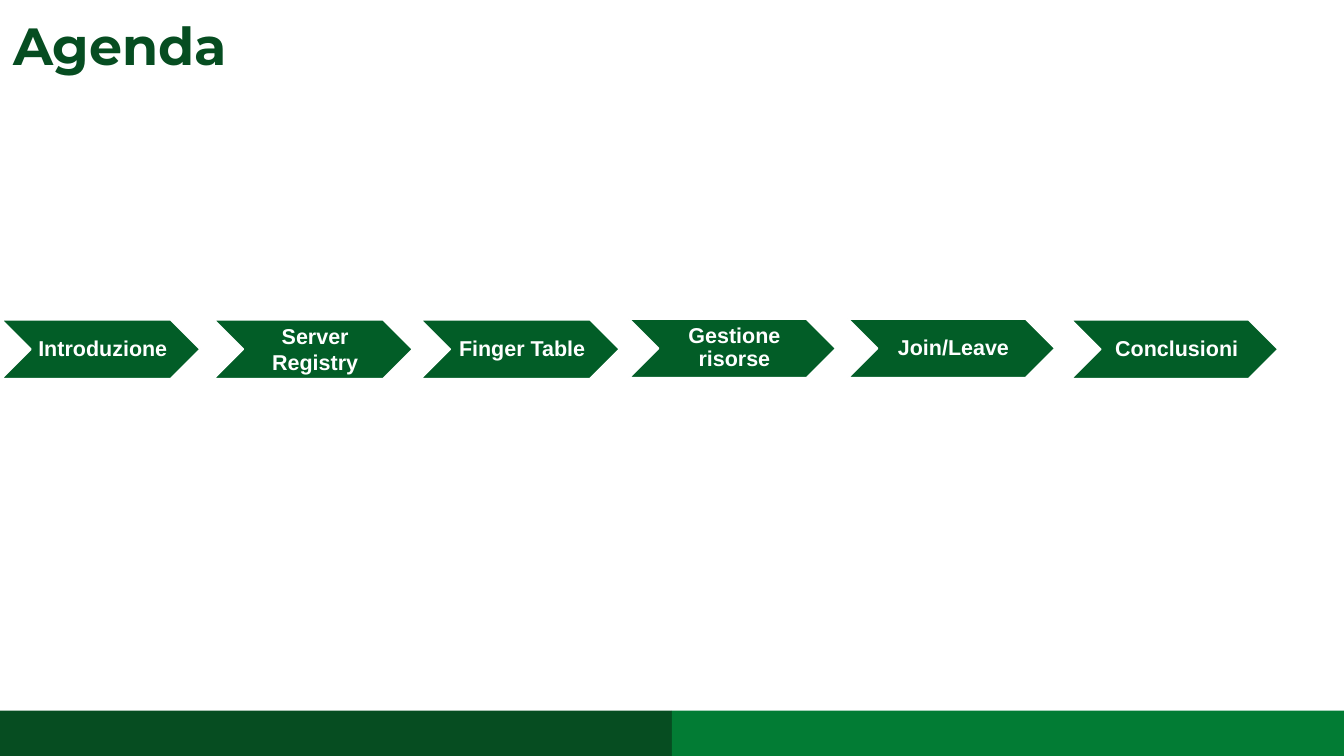
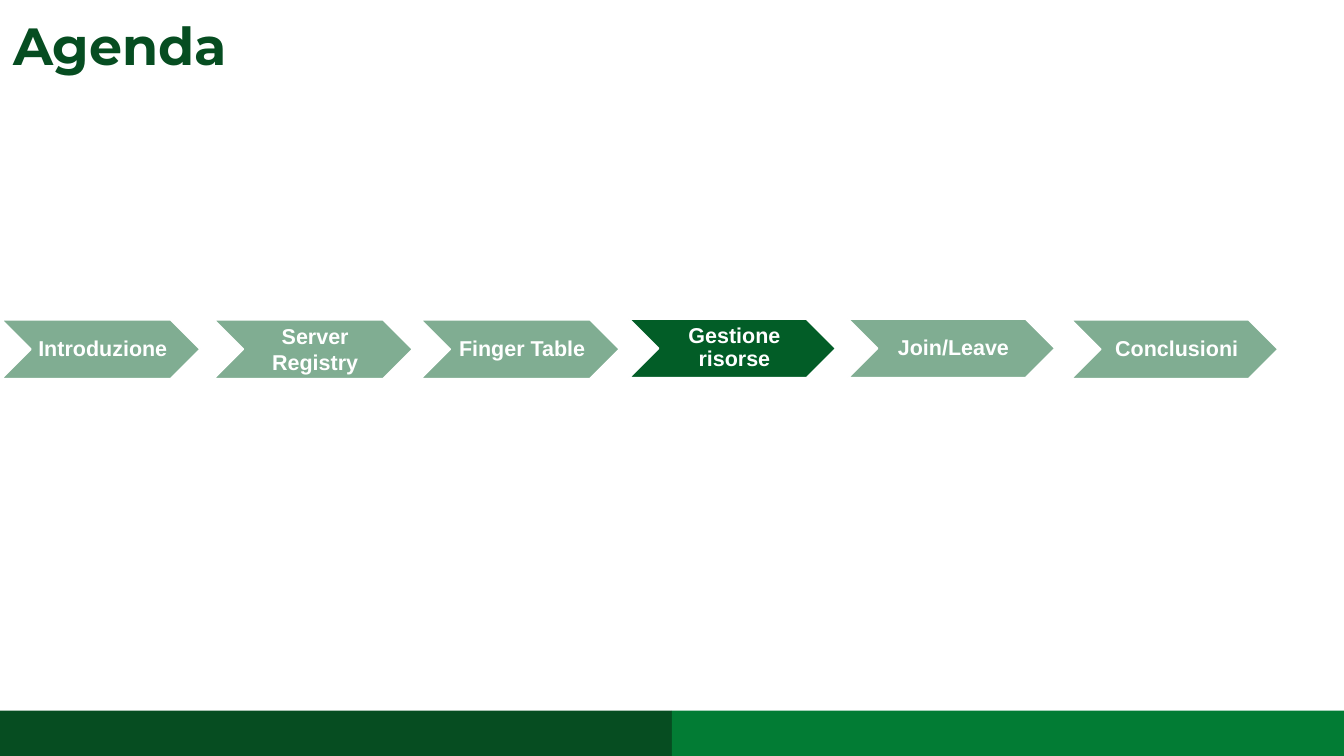
from dataclasses import dataclass
from typing import Any, Optional

from lxml.etree import SubElement
from pptx import Presentation
from pptx.dml.color import RGBColor
from pptx.enum.shapes import MSO_SHAPE
from pptx.enum.text import MSO_ANCHOR, PP_ALIGN
from pptx.oxml.ns import qn
from pptx.util import Emu, Inches, Pt

WIDTH, HEIGHT = Inches(10), Inches(5.625)
COL, ROW = WIDTH / 100, HEIGHT / 100

WHITE = RGBColor(0xFF, 0xFF, 0xFF)
DARK_GREEN = RGBColor(0x06, 0x4D, 0x21)
BRIGHT_GREEN = RGBColor(0x02, 0x7C, 0x34)
STEP_GREEN = RGBColor(0x02, 0x5D, 0x27)

TITLE_FONT = {"name": "Montserrat", "size": Pt(28), "bold": True}
STEP_FONT = {"name": "Arial", "size": Pt(11.5), "bold": True}
TITLE_FRAME = {"word_wrap": True} | {
    f"margin_{side}": Inches(0.1) for side in ("left", "top", "right", "bottom")
}
STEP_FRAME = {
    "word_wrap": True,
    "vertical_anchor": MSO_ANCHOR.MIDDLE,
    "margin_left": Inches(0.05),
    "margin_top": Inches(0.02),
    "margin_right": Inches(0.02),
    "margin_bottom": Inches(0.02),
}


@dataclass(frozen=True)
class Box:
    col: float
    row: float
    cols: float
    rows: float

    def emu(self) -> tuple[Emu, ...]:
        return (Emu(round(self.col * COL)), Emu(round(self.row * ROW)),
                Emu(round(self.cols * COL)), Emu(round(self.rows * ROW)))


@dataclass(frozen=True)
class Band:
    box: Box
    color: RGBColor


@dataclass(frozen=True)
class Step:
    label: str
    col: float
    cols: float
    row: float = 42.3
    spacing: float = 0.9

    def box(self) -> Box:
        return Box(self.col, self.row, self.cols, 7.8)


TITLE_BOX = Box(0, 0, 100, 11.2)
BANDS = [
    Band(Box(i * 50, 94, 50, 6), color)
    for i, color in enumerate((DARK_GREEN, BRIGHT_GREEN))
]
STEPS = [
    Step("Introduzione", 0.1, 14.8),
    Step("Server Registry", 15.9, 14.8, spacing=1.0),
    Step("Finger Table", 31.3, 14.8),
    Step("Gestione risorse", 46.8, 15.4, row=42.2),
    Step("Join/Leave", 63.1, 15.4, row=42.2),
    Step("Conclusioni", 79.7, 15.4),
]


def apply(target: Any, values: dict[str, Any]) -> None:
    for name, value in values.items():
        setattr(target, name, value)


def write(sp: Any, text: str, frame: dict[str, Any], font: dict[str, Any],
          color: RGBColor, paragraph: dict[str, Any]) -> None:
    tf = sp.text_frame
    apply(tf, frame)
    p = tf.paragraphs[0]
    apply(p, paragraph)
    r = p.add_run()
    r.text = text
    apply(r.font, font)
    r.font.color.rgb = color


def add_filled(s: Any, kind: MSO_SHAPE, box: Box, color: RGBColor) -> Any:
    sp = s.shapes.add_shape(kind, *box.emu())
    sp.shadow.inherit = False
    sp.fill.solid()
    sp.fill.fore_color.rgb = color
    return sp


def add_band(s: Any, band: Band) -> None:
    add_filled(s, MSO_SHAPE.RECTANGLE, band.box, band.color).line.fill.background()


def add_step(s: Any, step: Step, faded: bool) -> None:
    sp = add_filled(s, MSO_SHAPE.CHEVRON, step.box(), STEP_GREEN)
    sp.adjustments[0] = 0.5
    sp.line.color.rgb = WHITE
    sp.line.width = Pt(1)
    if faded:
        color = sp.element.spPr.find(qn("a:solidFill")).find(qn("a:srgbClr"))
        SubElement(color, qn("a:alpha")).set("val", "50000")
    write(sp, step.label, STEP_FRAME, STEP_FONT, WHITE,
          {"alignment": PP_ALIGN.CENTER, "line_spacing": step.spacing})


def add_agenda(prs: Any, current: Optional[str] = None) -> None:
    s = prs.slides.add_slide(prs.slide_layouts[6])
    for band in BANDS:
        add_band(s, band)
    title = s.shapes.add_textbox(*TITLE_BOX.emu())
    write(title, "Agenda", TITLE_FRAME, TITLE_FONT, DARK_GREEN, {})
    for step in STEPS:
        add_step(s, step, faded=current not in (None, step.label))


def main() -> None:
    prs = Presentation()
    apply(prs, {"slide_width": WIDTH, "slide_height": HEIGHT})
    add_agenda(prs)
    add_agenda(prs, current="Gestione risorse")
    prs.save("out.pptx")


if __name__ == "__main__":
    main()
